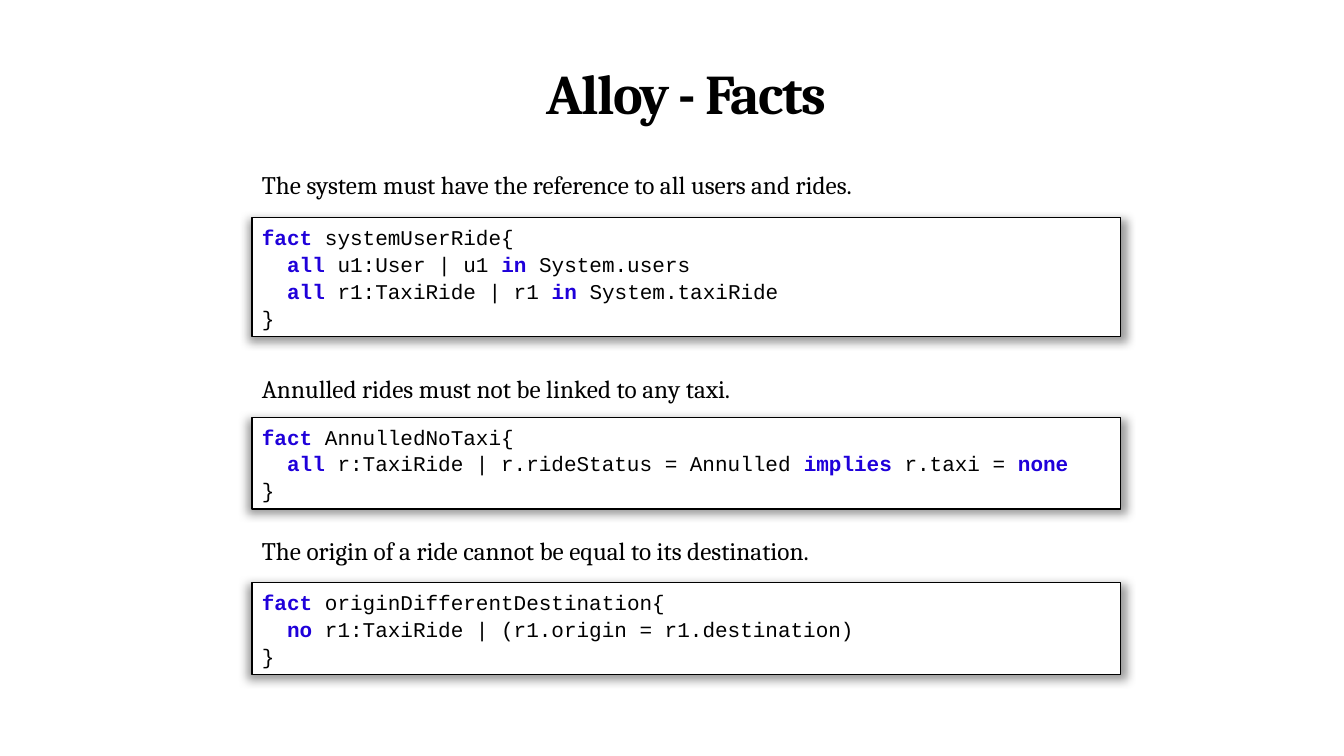
from itertools import groupby

from lxml import etree
from pptx import Presentation
from pptx.dml.color import RGBColor
from pptx.enum import shapes, text
from pptx.oxml import ns
from pptx.util import Pt

COLORS = {"ink": "000000", "paper": "FFFFFF", "keyword": "1F00DA", "shadow": "000000"}
KEYWORDS = {"fact", "all", "no", "in", "implies", "none"}
LEFT, WIDTH = 180, 620.6
FACTS = [
    ("The system must have the reference to all users and rides.", 117.4, 155.5, 85,
     ["fact systemUserRide{",
      "  all u1:User | u1 in System.users",
      "  all r1:TaxiRide | r1 in System.taxiRide",
      "}"]),
    ("Annulled rides must not be linked to any taxi.", 262.8, 298.1, 65.5,
     ["fact AnnulledNoTaxi{",
      "  all r:TaxiRide | r.rideStatus = Annulled implies r.taxi = none",
      "}"]),
    ("The origin of a ride cannot be equal to its destination.", 378.7, 416.2, 65.5,
     ["fact originDifferentDestination{",
      "  no r1:TaxiRide | (r1.origin = r1.destination)",
      "}"]),
]


def rgb(name):
    return RGBColor.from_string(COLORS[name])


def set_font(font, name, size, bold=False):
    font.name, font.size, font.bold = name, Pt(size), bold
    font.color.rgb = rgb("ink")


def add_shadow(sp):
    sp.shadow.inherit = False
    effects = sp._element.spPr.find(ns.qn("a:effectLst"))
    outer = etree.SubElement(effects, ns.qn("a:outerShdw"), blurRad=str(Pt(7)),
                             dist=str(Pt(2)), dir="5400000", sx="101000", sy="101000",
                             algn="ctr", rotWithShape="0")
    color = etree.SubElement(outer, ns.qn("a:srgbClr"), val=COLORS["shadow"])
    etree.SubElement(color, ns.qn("a:alpha"), val="40000")


def set_title(slide, title):
    sp = slide.shapes.title
    sp.left, sp.top, sp.width, sp.height = Pt(LEFT), Pt(43.9), Pt(WIDTH), Pt(80.6)
    tf = sp.text_frame
    tf.text = title
    tf.word_wrap = True
    tf.auto_size = text.MSO_AUTO_SIZE.NONE
    tf.vertical_anchor = text.MSO_ANCHOR.TOP
    p = tf.paragraphs[0]
    p.alignment = text.PP_ALIGN.CENTER
    p.line_spacing = 0.9
    set_font(p.font, "Cambria", 40, True)
    p.runs[0]._r.get_or_add_rPr().set("spc", "-110")


def add_caption(slide, caption, top):
    sp = slide.shapes.add_textbox(Pt(LEFT), Pt(top), Pt(WIDTH), Pt(29))
    tf = sp.text_frame
    tf.word_wrap = True
    tf.auto_size = text.MSO_AUTO_SIZE.SHAPE_TO_FIT_TEXT
    tf.text = caption
    set_font(tf.paragraphs[0].font, "Cambria", 18)


def add_code_line(p, line):
    p.alignment = text.PP_ALIGN.LEFT
    p.line_spacing = 1.07
    set_font(p.font, "Courier New", 15)
    words = line.split(" ")
    pieces = [word + " " for word in words[:-1]] + words[-1:]
    for is_keyword, group in groupby(pieces, lambda piece: piece.strip() in KEYWORDS):
        r = p.add_run()
        r.text = "".join(group)
        if is_keyword:
            r.font.bold = True
            r.font.color.rgb = rgb("keyword")


def add_code_box(slide, lines, top, height):
    sp = slide.shapes.add_shape(shapes.MSO_SHAPE.RECTANGLE,
                                Pt(LEFT), Pt(top), Pt(WIDTH), Pt(height))
    sp.fill.solid()
    sp.fill.fore_color.rgb = rgb("paper")
    sp.line.color.rgb = rgb("ink")
    sp.line.width = Pt(1)
    add_shadow(sp)
    tf = sp.text_frame
    tf.word_wrap = True
    tf.auto_size = text.MSO_AUTO_SIZE.SHAPE_TO_FIT_TEXT
    tf.vertical_anchor = text.MSO_ANCHOR.TOP
    for i, line in enumerate(lines):
        add_code_line(tf.add_paragraph() if i else tf.paragraphs[0], line)


def main():
    prs = Presentation()
    prs.slide_width, prs.slide_height = Pt(960), Pt(540)
    slide = prs.slides.add_slide(prs.slide_layouts[5])
    set_title(slide, "Alloy - Facts")
    for caption, caption_top, code_top, code_height, lines in FACTS:
        add_caption(slide, caption, caption_top)
        add_code_box(slide, lines, code_top, code_height)
    prs.save("out.pptx")


if __name__ == "__main__":
    main()
